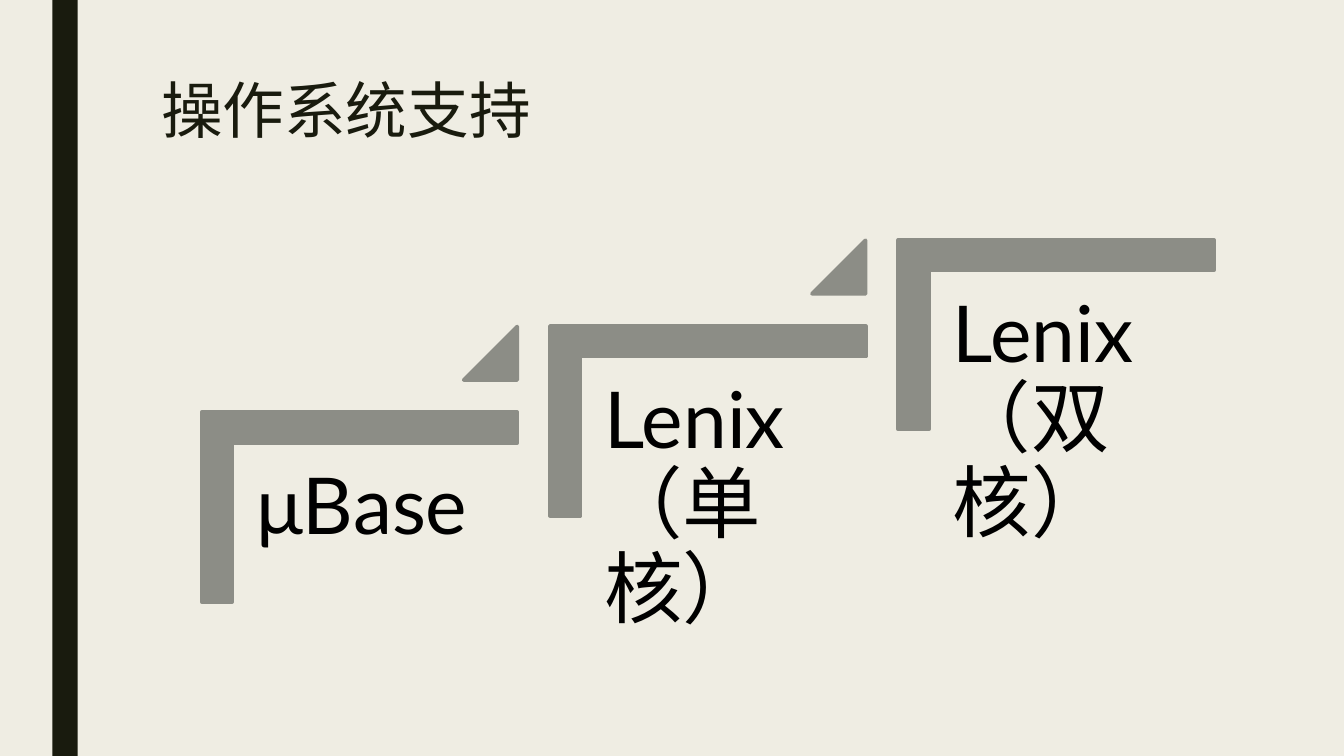
from lxml import etree
from pptx import Presentation
from pptx.dml.color import RGBColor
from pptx.enum.shapes import MSO_SHAPE
from pptx.enum.text import MSO_ANCHOR, PP_ALIGN
from pptx.oxml.ns import qn
from pptx.util import Inches, Pt

RECT = MSO_SHAPE.RECTANGLE
CORNER = MSO_SHAPE.CORNER
TRIANGLE = MSO_SHAPE.ISOSCELES_TRIANGLE
TOP = MSO_ANCHOR.TOP
LEFT = PP_ALIGN.LEFT

CREAM = RGBColor(0xEF, 0xED, 0xE3)
DARK = RGBColor(0x19, 0x1B, 0x0E)
GRAY = RGBColor(0x8C, 0x8D, 0x86)
BLACK = RGBColor(0, 0, 0)

STEPS = ["μBase", "Lenix（单核）", "Lenix（双核）"]
TITLE = {"name": "Lato", "size": Pt(44)}
LABEL = {"name": "Lato", "size": Pt(56)}


def add_shape(slide, kind, box, color):
    shape = slide.shapes.add_shape(kind, *map(Inches, box))
    shape.shadow.inherit = False
    shape.fill.solid()
    shape.fill.fore_color.rgb = color
    shape.line.fill.background()
    return shape


def outline(shape):
    shape.line.color.rgb = GRAY
    shape.line.width = Pt(2.75)
    etree.SubElement(shape.line._get_or_add_ln(), qn("a:round"))


def add_text(slide, box, text, font, color, space, pads):
    frame = slide.shapes.add_textbox(*map(Inches, box)).text_frame
    form = {"word_wrap": True, "vertical_anchor": TOP}
    form.update(zip(("margin_left", "margin_top", "margin_right", "margin_bottom"),
                    map(Inches, pads)))
    for key, value in form.items():
        setattr(frame, key, value)
    line = frame.paragraphs[0]
    line.alignment = LEFT
    line.line_spacing = space
    run = line.add_run()
    run.text = text
    for key, value in font.items():
        setattr(run.font, key, value)
    run.font.color.rgb = color


def add_head(slide, box):
    add_text(slide, box, "操作系统支持", TITLE, DARK, 0.89, (0.1, 0.05, 0.1, 0.05))


def add_step(slide, box, text, last):
    left, top, wide, high = box
    turned = (left + (wide - high) / 2, top + (high - wide) / 2, high, wide)
    angle = add_shape(slide, CORNER, turned, GRAY)
    angle.rotation = 90
    for i in range(2):
        angle.adjustments[i] = 0.161
    outline(angle)
    add_text(slide, (left + 0.31, top + 0.31, 2.82, 2.47), text,
             LABEL, BLACK, 0.9, [0.23] * 4)
    if not last:
        side = 0.53
        mark = add_shape(slide, TRIANGLE,
                         (left + wide - side, top - 0.85, side, side), GRAY)
        mark.adjustments[0] = 1
        outline(mark)


def add_stairs(slide, box):
    left, top, wide, high = box
    step_w, step_h = 3.13, 1.88
    count = len(STEPS) - 1
    across, rise = (wide - step_w) / count, (high - step_h) / count
    for i, text in enumerate(STEPS):
        add_step(slide, (left + i * across, top + (count - i) * rise,
                         step_w, step_h), text, i == count)


def main():
    deck = Presentation()
    deck.slide_width, deck.slide_height = Inches(13.33), Inches(7.5)
    slide = deck.slides.add_slide(deck.slide_layouts[6])
    slide.background.fill.solid()
    slide.background.fill.fore_color.rgb = CREAM
    add_shape(slide, RECT, (0.52, 0, 0.25, 7.5), DARK)
    add_head(slide, (1.5, 0.75, 10.5, 1.62))
    add_stairs(slide, (2, 2.38, 10.04, 3.59))
    deck.save("out.pptx")


if __name__ == "__main__":
    main()
